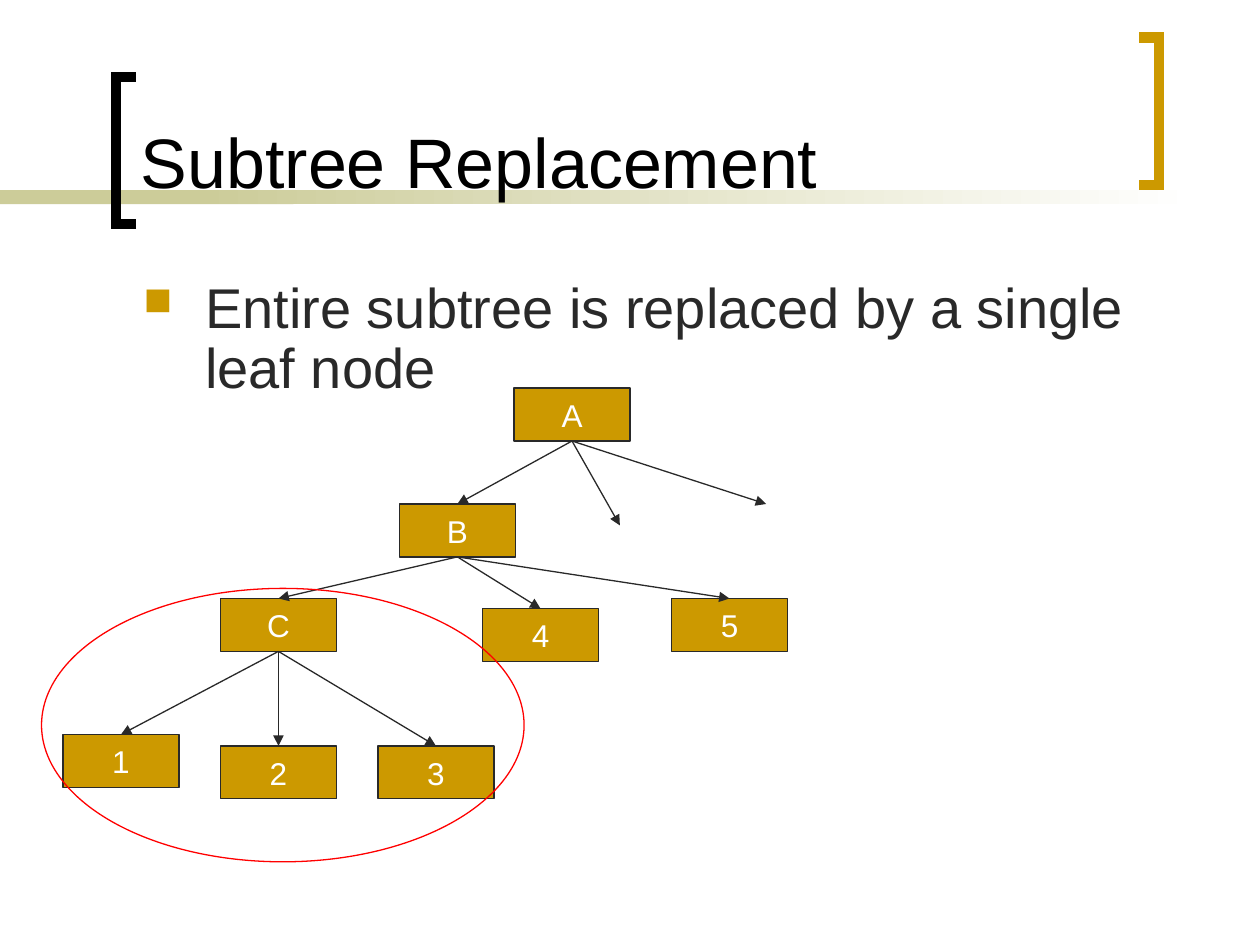
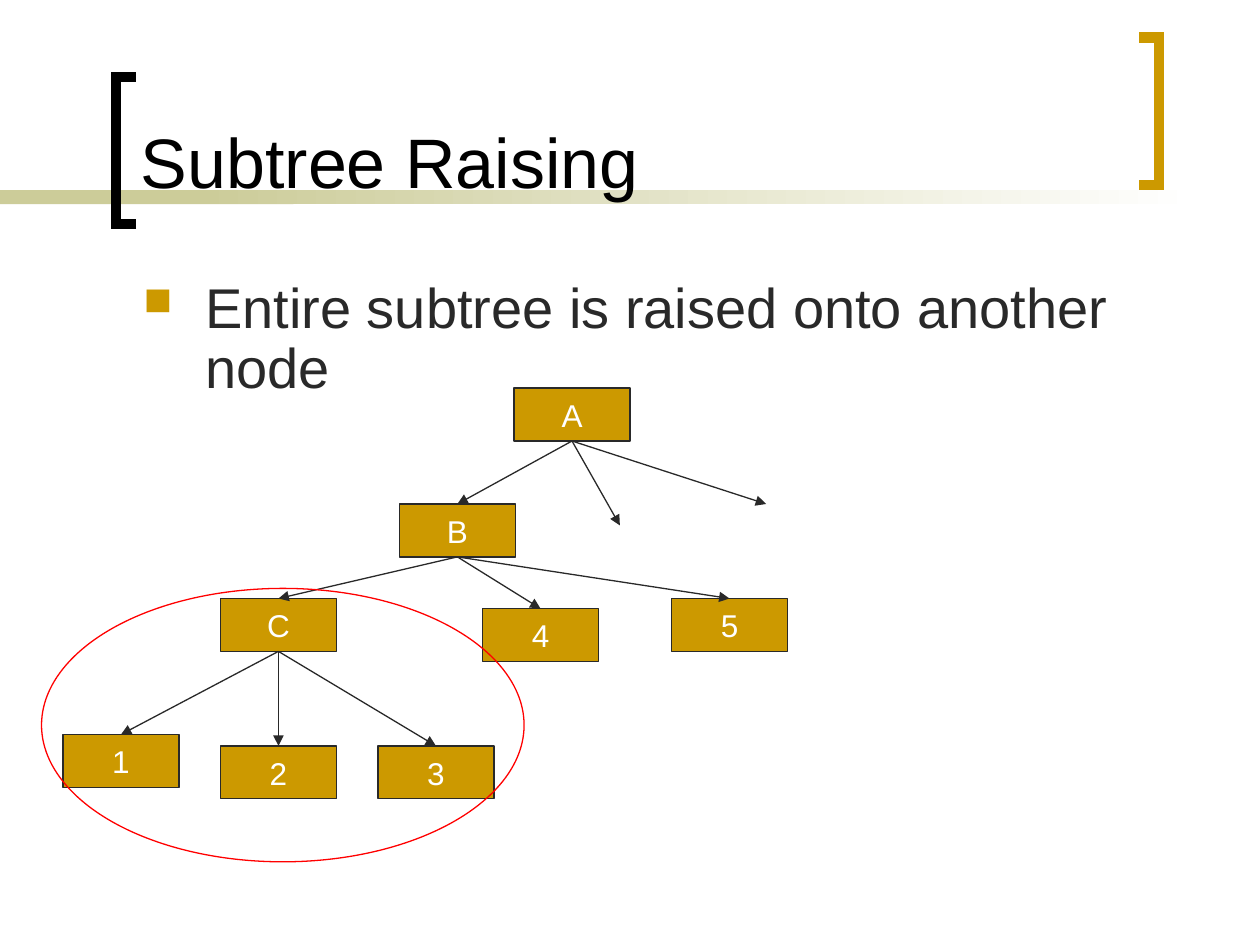
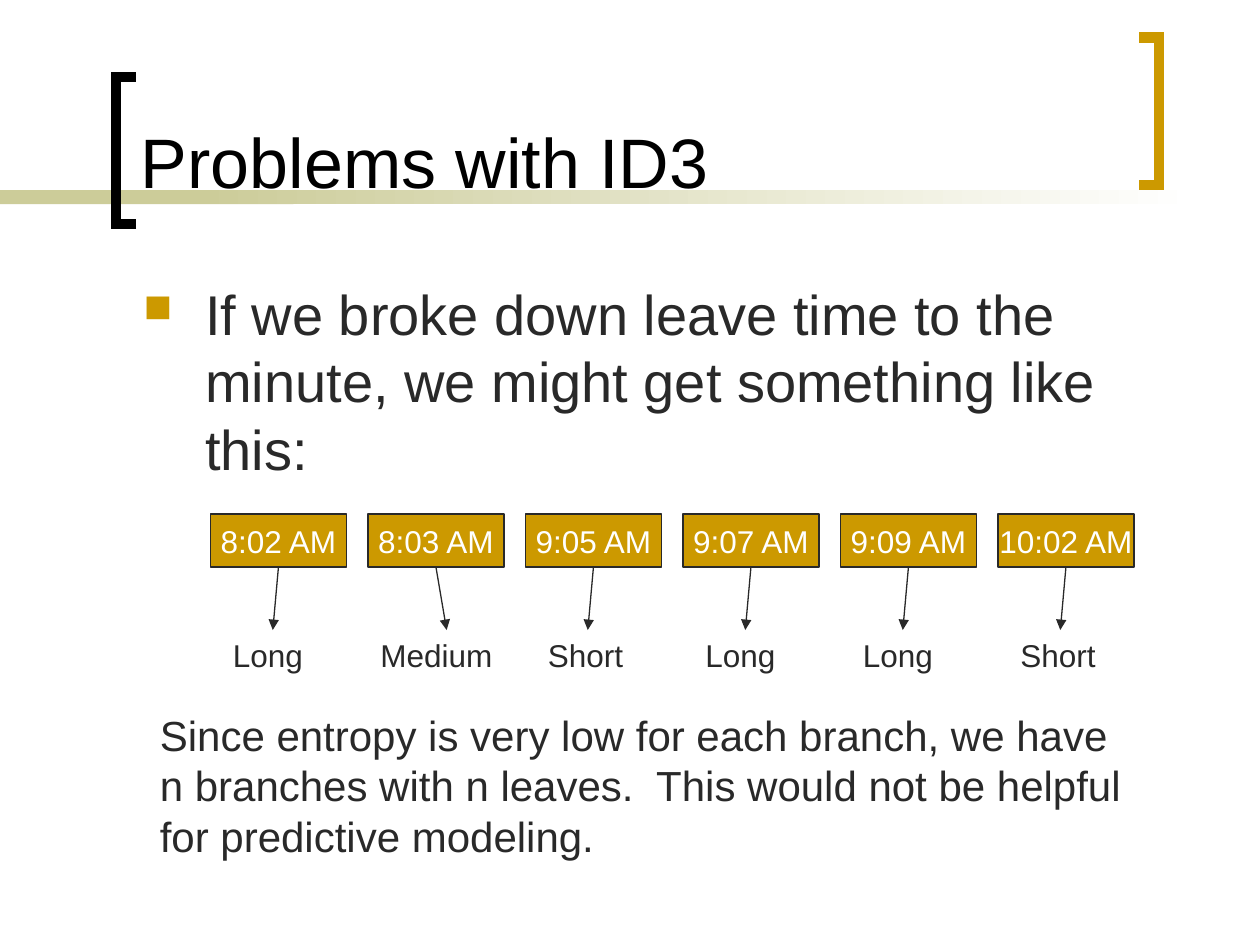
"""Build three slides on decision tree pruning and the limits of ID3."""
from lxml.etree import SubElement
from pptx import Presentation
from pptx.dml.color import RGBColor
from pptx.enum.shapes import MSO_CONNECTOR as CONNECTOR, MSO_SHAPE as SHAPE
from pptx.enum.text import MSO_ANCHOR as ANCHOR, MSO_AUTO_SIZE as AUTO_SIZE, PP_ALIGN as ALIGN
from pptx.oxml.ns import qn
from pptx.util import Inches, Pt

COLORS = {"gold": "CC9900", "band": "CCCC99", "ink": "292929",
          "black": "000000", "white": "FFFFFF", "red": "FF0000"}
RGB = {name: RGBColor.from_string(value) for name, value in COLORS.items()}

BOX = {"preset": SHAPE.RECTANGLE, "fill": "gold", "line": "ink", "color": "white",
       "frame": {"word_wrap": False, "vertical_anchor": ANCHOR.MIDDLE},
       "layout": {"alignment": ALIGN.CENTER}}
TITLE = {"size": 40, "color": "black",
         "frame": {"word_wrap": True, "vertical_anchor": ANCHOR.BOTTOM}}
GROWING = {"word_wrap": True, "auto_size": AUTO_SIZE.SHAPE_TO_FIT_TEXT}


def add_block(slide, at, text="", preset=None, fill=None, line=None, size=18,
              color="ink", frame=None, layout=None, bullet=False):
    position = [Inches(length) for length in at]
    if preset is None:
        shape = slide.shapes.add_textbox(*position)
    else:
        shape = slide.shapes.add_shape(preset, *position)
        shape.shadow.inherit = False
        for part, paint in ((shape.fill, fill), (shape.line.fill, line)):
            if paint:
                part.solid()
                part.fore_color.rgb = RGB[paint]
            else:
                part.background()
        if line:
            shape.line.width = Pt(0.75)
    if not text:
        return shape
    for name, value in (frame or {"word_wrap": True}).items():
        setattr(shape.text_frame, name, value)
    paragraph = shape.text_frame.paragraphs[0]
    for name, value in (layout or {}).items():
        setattr(paragraph, name, value)
    run = paragraph.add_run()
    run.text = text
    for name, value in {"name": "Arial", "size": Pt(size)}.items():
        setattr(run.font, name, value)
    run.font.color.rgb = RGB[color]
    if bullet:
        properties = paragraph._p.get_or_add_pPr()
        properties.set("marL", str(Inches(0.49)))
        properties.set("indent", str(Inches(-0.49)))
        bullet_color = SubElement(properties, qn("a:buClr"))
        SubElement(bullet_color, qn("a:srgbClr"), val=COLORS["gold"])
        SubElement(properties, qn("a:buSzPct"), val="70000")
        SubElement(properties, qn("a:buChar"), char="■")
    return shape


def add_arrow(slide, start, end):
    points = [Inches(length) for length in (*start, *end)]
    arrow = slide.shapes.add_connector(CONNECTOR.STRAIGHT, *points)
    arrow.line.color.rgb = RGB["ink"]
    arrow.line.width = Pt(0.75)
    SubElement(arrow.line._get_or_add_ln(), qn("a:tailEnd"), type="triangle")
    SubElement(arrow._element.spPr, qn("a:effectLst"))


presentation = Presentation()
presentation.slide_width, presentation.slide_height = Inches(10), Inches(7.5)

BRACKETS = [
    ("black", [(1.08, 1.78), (0.92, 1.78), (0.92, 0.61), (1.08, 0.61)]),
    ("gold", [(9.04, 0.3), (9.2, 0.3), (9.2, 1.47), (9.04, 1.47)]),
]
CONTENT = [
    ("Subtree Replacement", "Entire subtree is replaced by a single leaf node", 1.08, 0.9),
    ("Subtree Raising", "Entire subtree is raised onto another node", 1.08, 0.9),
    ("Problems with ID3", "If we broke down leave time to the minute, "
     "we might get something like this:", 1.75, 1.0),
]
slides = []
for title, body, body_height, line_spacing in CONTENT:
    slide = presentation.slides.add_slide(presentation.slide_layouts[6])
    slides.append(slide)
    add_block(slide, (0, 1.51, 2.33, 0.11), preset=SHAPE.RECTANGLE, fill="band")
    fading_band = add_block(slide, (1.58, 1.51, 7.92, 0.11), preset=SHAPE.RECTANGLE)
    fading_band.fill.gradient()
    fading_band.fill.gradient_angle = 180
    for stop, color in zip(fading_band.fill.gradient_stops, ("white", "band")):
        stop.color.rgb = RGB[color]
    for color, corners in BRACKETS:
        points = [(Inches(x), Inches(y)) for x, y in corners]
        builder = slide.shapes.build_freeform(*points[0])
        builder.add_line_segments(points[1:], close=False)
        bracket = builder.convert_to_shape()
        bracket.shadow.inherit = False
        bracket.fill.background()
        bracket.line.color.rgb = RGB[color]
        bracket.line.width = Pt(6)
        SubElement(bracket.line._get_or_add_ln(), qn("a:miter"), lim="800000")
    add_block(slide, (1.02, 0.11, 7.83, 1.55), title, **TITLE)
    add_block(slide, (1.04, 2.17, 8.38, body_height), body, size=32, bullet=True,
              layout={"line_spacing": line_spacing, "space_before": Pt(8)})

NODE_WIDTH, BOX_HEIGHT = 0.92, 0.42
NODES = {"A": (4.08, 3.08), "B": (3.17, 4), "C": (1.75, 4.75), "1": (0.5, 5.83),
         "2": (1.75, 5.92), "3": (3, 5.92), "4": (3.83, 4.83), "5": (5.33, 4.75)}
CHILDREN = {"A": "B", "B": "C45", "C": "123"}
OPEN_BRANCH_ENDS = [(4.92, 4.17), (6.08, 4)]

for slide in slides[:2]:
    for name, (left, top) in NODES.items():
        add_block(slide, (left, top, NODE_WIDTH, BOX_HEIGHT), name, **BOX)
    for parent, children in CHILDREN.items():
        left, top = NODES[parent]
        start = (left + NODE_WIDTH / 2, top + BOX_HEIGHT)
        ends = [(NODES[child][0] + NODE_WIDTH / 2, NODES[child][1]) for child in children]
        if parent == "A":
            ends += OPEN_BRANCH_ENDS
        for end in ends:
            add_arrow(slide, start, end)
    add_block(slide, (0.33, 4.67, 3.83, 2.17), preset=SHAPE.OVAL, line="red")

LEAVES = [("8:02 AM", "Long"), ("8:03 AM", "Medium"), ("9:05 AM", "Short"),
          ("9:07 AM", "Long"), ("9:09 AM", "Long"), ("10:02 AM", "Short")]
TIME_WIDTH, TIME_TOP, LABEL_TOP = 1.08, 4.08, 5

slide = slides[2]
for index, (time, duration) in enumerate(LEAVES):
    left = 1.67 + 1.25 * index
    add_block(slide, (left, TIME_TOP, TIME_WIDTH, BOX_HEIGHT), time, **BOX)
    label_left, label_width = (left, 1.25) if duration == "Medium" else (left + 0.08, 0.83)
    add_block(slide, (label_left, LABEL_TOP, label_width, 0.4), duration,
              frame=GROWING, layout={"space_before": Pt(11.2)})
    add_arrow(slide, (left + TIME_WIDTH / 2, TIME_TOP + BOX_HEIGHT),
              (label_left + label_width / 2, LABEL_TOP))
add_block(slide, (1.17, 5.58, 7.92, 1.3),
          "Since entropy is very low for each branch, we have n branches with n leaves.  "
          "This would not be helpful for predictive modeling.",
          size=24, frame=GROWING, layout={"space_before": Pt(15)})

presentation.save("out.pptx")
